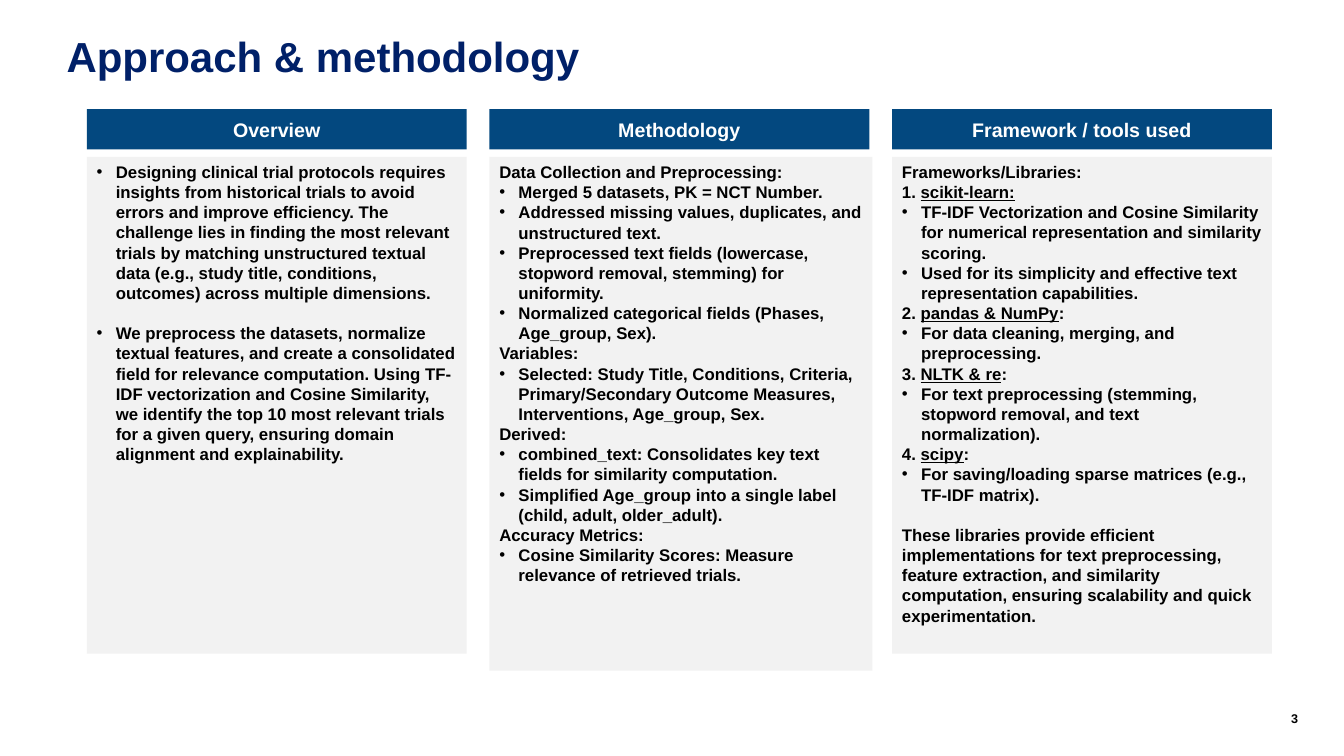
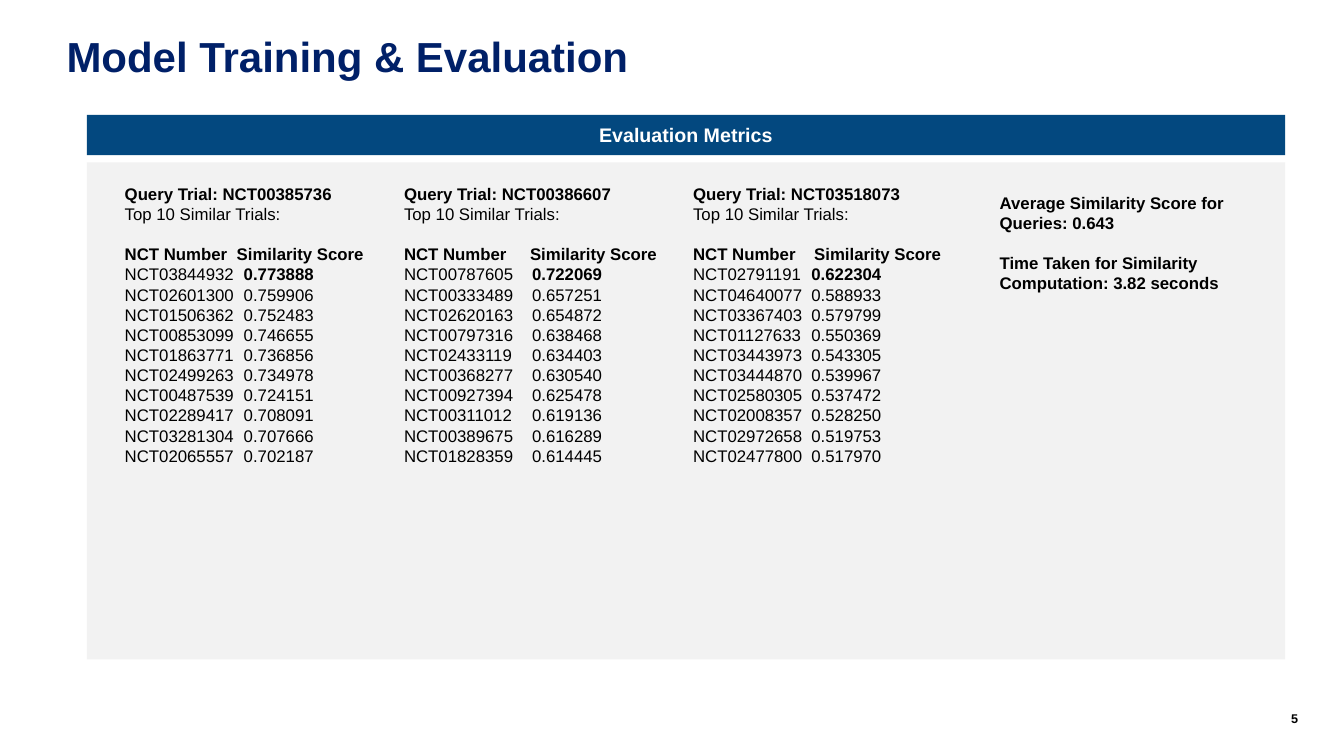
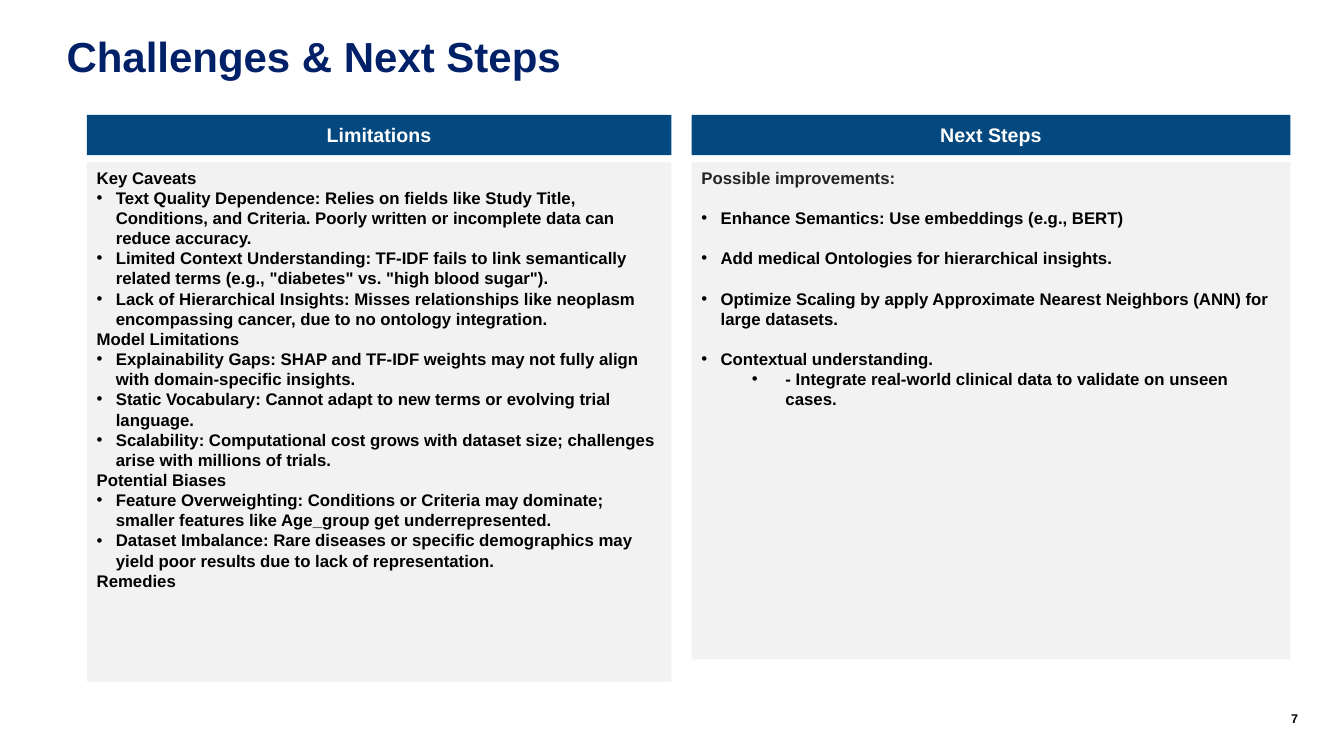
from lxml import etree
from pptx import Presentation
from pptx.dml.color import RGBColor
from pptx.enum import shapes, text
from pptx.oxml import ns
from pptx.util import Pt

FONT = "Arial"
NAVY, BLUE, GREY = "002068", "03487F", "F2F2F2"
BLACK, WHITE, CHARCOAL = "000000", "FFFFFF", "242424"
TITLE_ONLY = 5
LEFT = 62
BAND_HEIGHT, PANEL_OFFSET = 28.8, 34
LINE_GAP = 14.4
INDENTS = {1: (13.7, 13.7), 2: (60, 24)}

OVERVIEW = [
    "• Designing clinical trial protocols requires insights from historical trials to avoid errors and improve "
    "efficiency. The challenge lies in finding the most relevant trials by matching unstructured textual data "
    "(e.g., study title, conditions, outcomes) across multiple dimensions.",
    "",
    "• We preprocess the datasets, normalize textual features, and create a consolidated field for relevance "
    "computation. Using TF-IDF vectorization and Cosine Similarity, we identify the top 10 most relevant trials "
    "for a given query, ensuring domain alignment and explainability.",
]
METHODOLOGY = [
    "Data Collection and Preprocessing:",
    "• Merged 5 datasets, PK = NCT Number.",
    "• Addressed missing values, duplicates, and unstructured text.",
    "• Preprocessed text fields (lowercase, stopword removal, stemming) for uniformity.",
    "• Normalized categorical fields (Phases, Age_group, Sex).",
    "Variables:",
    "• Selected: Study Title, Conditions, Criteria, Primary/Secondary Outcome Measures, Interventions, "
    "Age_group, Sex.",
    "Derived:",
    "• combined_text: Consolidates key text fields for similarity computation.",
    "• Simplified Age_group into a single label (child, adult, older_adult).",
    "Accuracy Metrics:",
    "• Cosine Similarity Scores: Measure relevance of retrieved trials.",
]
TOOLS = [
    "Frameworks/Libraries:",
    "1. |scikit-learn:|",
    "• TF-IDF Vectorization and Cosine Similarity for numerical representation and similarity scoring.",
    "• Used for its simplicity and effective text representation capabilities.",
    "2. |pandas & NumPy|:",
    "• For data cleaning, merging, and preprocessing.",
    "3. |NLTK & re|:",
    "• For text preprocessing (stemming, stopword removal, and text normalization).",
    "4. |scipy|:",
    "• For saving/loading sparse matrices (e.g., TF-IDF matrix).",
    "",
    "These libraries provide efficient implementations for text preprocessing, feature extraction, and "
    "similarity computation, ensuring scalability and quick experimentation.",
]
LIMITATIONS = [
    "Key Caveats",
    "• Text Quality Dependence: Relies on fields like Study Title, Conditions, and Criteria. Poorly written or "
    "incomplete data can reduce accuracy.",
    "• Limited Context Understanding: TF-IDF fails to link semantically related terms (e.g., \"diabetes\" vs. "
    "\"high blood sugar\").",
    "• Lack of Hierarchical Insights: Misses relationships like neoplasm encompassing cancer, due to no ontology "
    "integration.",
    "Model Limitations",
    "• Explainability Gaps: SHAP and TF-IDF weights may not fully align with domain-specific insights.",
    "• Static Vocabulary: Cannot adapt to new terms or evolving trial language.",
    "• Scalability: Computational cost grows with dataset size; challenges arise with millions of trials.",
    "Potential Biases",
    "• Feature Overweighting: Conditions or Criteria may dominate; smaller features like Age_group get "
    "underrepresented.",
    "• Dataset Imbalance: Rare diseases or specific demographics may yield poor results due to lack of "
    "representation.",
    "Remedies",
]
NEXT_STEPS = [
    "Possible improvements:",
    "",
    "• Enhance Semantics: Use embeddings (e.g., BERT)",
    "",
    "• Add medical Ontologies for hierarchical insights.",
    "",
    "• Optimize Scaling by apply Approximate Nearest Neighbors (ANN) for large datasets.",
    "",
    "• Contextual understanding.",
    "•• - Integrate real-world clinical data to validate on unseen cases.",
]
SUMMARY = [
    "Average Similarity Score for Queries: 0.643",
    "",
    "Time Taken for Similarity Computation: 3.82 seconds",
]
QUERIES = [
    ("NCT00385736", 82, 187, 80, 85, [
        ("NCT03844932", "0.773888"), ("NCT02601300", "0.759906"), ("NCT01506362", "0.752483"),
        ("NCT00853099", "0.746655"), ("NCT01863771", "0.736856"), ("NCT02499263", "0.734978"),
        ("NCT00487539", "0.724151"), ("NCT02289417", "0.708091"), ("NCT03281304", "0.707666"),
        ("NCT02065557", "0.702187")]),
    ("NCT00386607", 281.5, 198, 90, 91.5, [
        ("NCT00787605", "0.722069"), ("NCT00333489", "0.657251"), ("NCT02620163", "0.654872"),
        ("NCT00797316", "0.638468"), ("NCT02433119", "0.634403"), ("NCT00368277", "0.630540"),
        ("NCT00927394", "0.625478"), ("NCT00311012", "0.619136"), ("NCT00389675", "0.616289"),
        ("NCT01828359", "0.614445")]),
    ("NCT03518073", 488, 196, 86.5, 84.5, [
        ("NCT02791191", "0.622304"), ("NCT04640077", "0.588933"), ("NCT03367403", "0.579799"),
        ("NCT01127633", "0.550369"), ("NCT03443973", "0.543305"), ("NCT03444870", "0.539967"),
        ("NCT02580305", "0.537472"), ("NCT02008357", "0.528250"), ("NCT02972658", "0.519753"),
        ("NCT02477800", "0.517970")]),
]


def color(value):
    """Turn a hex string into a colour."""
    return RGBColor.from_string(value)


def set_font(paragraph, size, value=BLACK, bold=True):
    """Set the font shared by all runs of a paragraph."""
    font = paragraph.font
    font.name, font.size, font.bold = FONT, Pt(size), bold
    font.color.rgb = color(value)


def add_bullet(paragraph, level):
    """Give a paragraph a hanging bullet."""
    margin, hanging = INDENTS[level]
    paragraph.level = level - 1
    properties = paragraph._p.get_or_add_pPr()
    properties.set("marL", str(Pt(margin)))
    properties.set("indent", str(-Pt(hanging)))
    etree.SubElement(properties, ns.qn("a:buFont"), typeface=FONT)
    etree.SubElement(properties, ns.qn("a:buChar"), char="•")


def add_tab_stop(paragraph, position):
    """Give a paragraph one left tab stop."""
    stops = etree.SubElement(paragraph._p.get_or_add_pPr(), ns.qn("a:tabLst"))
    etree.SubElement(stops, ns.qn("a:tab"), pos=str(Pt(position)), algn="l")


def next_paragraph(frame):
    """Return the empty first paragraph of a frame, or a new one."""
    first = frame.paragraphs[0]
    return frame.add_paragraph() if first.runs else first


def write_lines(frame, lines, lead_color=BLACK):
    """Write bold lines, with • for bullets, empty lines for gaps and |bars| for underlines."""
    gap = 0
    for number, line in enumerate(lines):
        if not line:
            gap = LINE_GAP
            continue
        paragraph = next_paragraph(frame)
        paragraph.alignment = text.PP_ALIGN.LEFT
        paragraph.space_before = Pt(gap)
        gap = 0
        content = line.lstrip("•")
        level = len(line) - len(content)
        if level:
            add_bullet(paragraph, level)
        set_font(paragraph, 12, BLACK if number else lead_color)
        for index, part in enumerate(content.strip().split("|")):
            if part:
                run = paragraph.add_run()
                run.text = part
                if index % 2:
                    run.font.underline = True


def add_box(slide, left, top, width, height, fill, anchor):
    """Add a plain filled rectangle."""
    shape = slide.shapes.add_shape(shapes.MSO_SHAPE.RECTANGLE, Pt(left), Pt(top), Pt(width), Pt(height))
    shape.shadow.inherit = False
    shape.fill.solid()
    shape.fill.fore_color.rgb = color(fill)
    shape.line.fill.background()
    shape.text_frame.word_wrap = True
    shape.text_frame.vertical_anchor = anchor
    return shape


def add_text_box(slide, left, top, width, height):
    """Add a wrapping text box and return its frame."""
    frame = slide.shapes.add_textbox(Pt(left), Pt(top), Pt(width), Pt(height)).text_frame
    frame.word_wrap = True
    return frame


def clear_margins(frame):
    """Remove the inner margins of a text frame."""
    frame.margin_left = frame.margin_top = frame.margin_right = frame.margin_bottom = 0


def add_slide(presentation, title, number):
    """Add a slide with its title and page number."""
    slide = presentation.slides.add_slide(presentation.slide_layouts[TITLE_ONLY])
    heading = slide.shapes.title
    heading.left, heading.top, heading.width, heading.height = Pt(47.5), Pt(24.5), Pt(692.6), Pt(36.7)
    frame = heading.text_frame
    frame.text = title
    frame.word_wrap = True
    frame.auto_size = text.MSO_AUTO_SIZE.NONE
    frame.vertical_anchor = text.MSO_ANCHOR.TOP
    clear_margins(frame)
    paragraph = frame.paragraphs[0]
    paragraph.alignment = text.PP_ALIGN.LEFT
    paragraph.line_spacing = 0.95
    set_font(paragraph, 30, NAVY)

    footer = add_text_box(slide, 890.6, 507.6, 36.7, 14.4)
    clear_margins(footer)
    footer.text = str(number)
    footer.paragraphs[0].alignment = text.PP_ALIGN.RIGHT
    set_font(footer.paragraphs[0], 9)
    return slide


def add_section(slide, heading, left, top, width, height, lines=(), panel_width=None, lead_color=BLACK):
    """Add a heading band with a grey panel of lines below it."""
    band = add_box(slide, left, top, width, BAND_HEIGHT, BLUE, text.MSO_ANCHOR.MIDDLE)
    band.text_frame.text = heading
    band.text_frame.paragraphs[0].alignment = text.PP_ALIGN.CENTER
    set_font(band.text_frame.paragraphs[0], 14, WHITE)
    panel = add_box(slide, left, top + PANEL_OFFSET, panel_width or width, height, GREY, text.MSO_ANCHOR.TOP)
    write_lines(panel.text_frame, lines, lead_color)


def add_query(slide, top, query, left, width, header_tab, score_tab, results):
    """Add the ranked results of one query trial."""
    frame = add_text_box(slide, left, top, width, 211)
    rows = [
        (f"Query Trial: {query}", "", 0, True),
        ("Top 10 Similar Trials:", "", 0, False),
        ("NCT Number", "Similarity Score", header_tab, True),
    ]
    rows += [(trial, score, score_tab, False) for trial, score in results]
    for label, value, tab, bold in rows:
        paragraph = next_paragraph(frame)
        if tab == header_tab and bold:
            paragraph.space_before = Pt(LINE_GAP)
        if tab:
            add_tab_stop(paragraph, tab)
        set_font(paragraph, 12, bold=bold)
        paragraph.add_run().text = f"{label}\t" if tab else label
        if value:
            run = paragraph.add_run()
            run.text = value
            if value == results[0][1]:
                run.font.bold = True


def build_approach(presentation):
    """Build the three-column approach slide."""
    slide = add_slide(presentation, "Approach & methodology", 3)
    columns = [
        ("Overview", OVERVIEW, 355, 271.4),
        ("Methodology", METHODOLOGY, 367, 273.6),
        ("Framework / tools used", TOOLS, 355, 271.4),
    ]
    for index, (heading, lines, height, panel_width) in enumerate(columns):
        add_section(slide, heading, LEFT + index * 287.6, 78, 271.4, height, lines, panel_width)


def build_evaluation(presentation):
    """Build the evaluation slide."""
    slide = add_slide(presentation, "Model Training & Evaluation", 5)
    add_section(slide, "Evaluation Metrics", LEFT, 82, 856, 355)
    for query in QUERIES:
        add_query(slide, 127.5, *query)
    write_lines(add_text_box(slide, 707, 134, 191.5, 165), SUMMARY)


def build_challenges(presentation):
    """Build the two-column challenges slide."""
    slide = add_slide(presentation, "Challenges & Next Steps", 7)
    add_section(slide, "Limitations", LEFT, 82, 417.6, 371, LIMITATIONS)
    add_section(slide, "Next Steps", 494, 82, 427.7, 355, NEXT_STEPS, lead_color=CHARCOAL)


def main():
    """Build and save the presentation."""
    presentation = Presentation()
    presentation.slide_width, presentation.slide_height = Pt(960), Pt(540)
    build_approach(presentation)
    build_evaluation(presentation)
    build_challenges(presentation)
    presentation.save("out.pptx")


if __name__ == "__main__":
    main()
